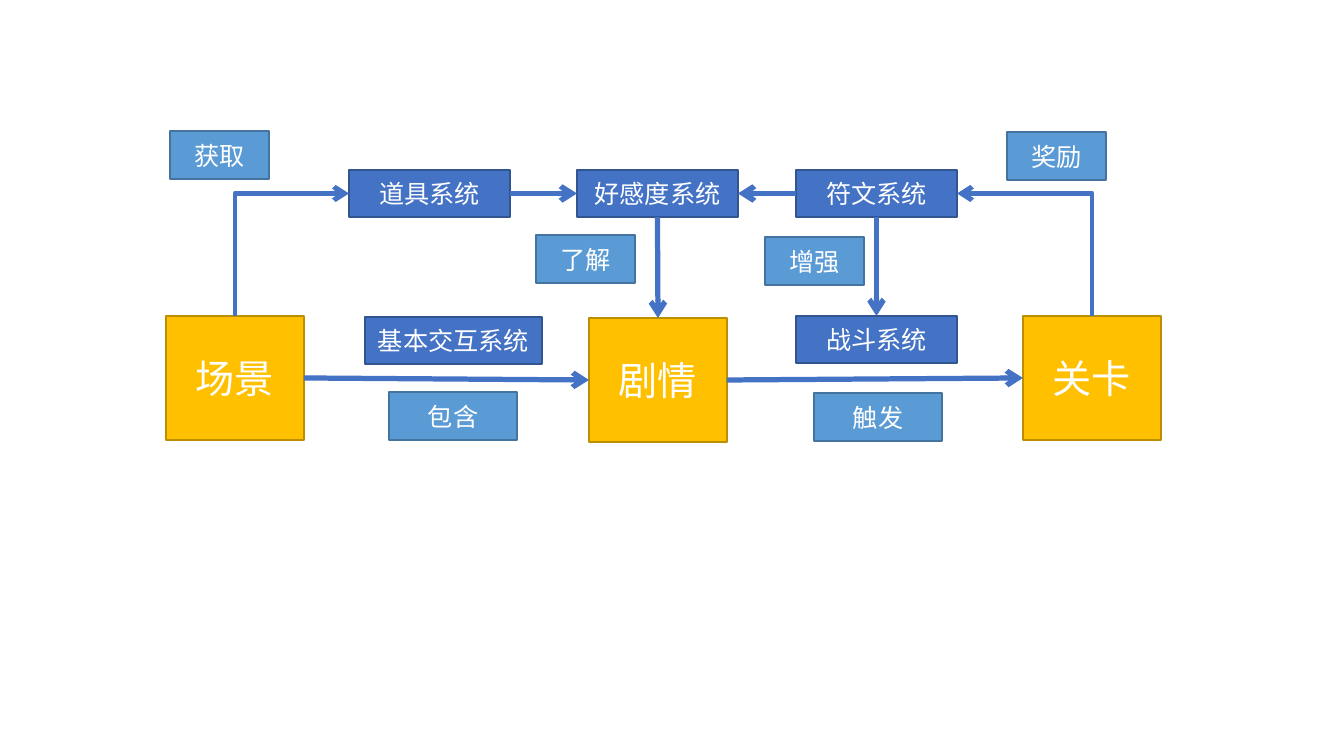
from lxml import etree
from pptx import Presentation
from pptx.dml.color import RGBColor
from pptx.enum.shapes import MSO_CONNECTOR, MSO_SHAPE
from pptx.enum.text import MSO_ANCHOR, PP_ALIGN
from pptx.oxml.ns import qn
from pptx.util import Emu, Pt

RECT = MSO_SHAPE.RECTANGLE
STRAIGHT = MSO_CONNECTOR.STRAIGHT
CENTER = PP_ALIGN.CENTER
MIDDLE = MSO_ANCHOR.MIDDLE
TOP, LEFT, BOTTOM, RIGHT = range(4)  # connection sites of a rectangle

FONT = "Noto Sans CJK SC"
BLUE = "4472C4"
# fill, outline, text size
SYSTEM = (BLUE, "325491", 18)
STAGE = ("FFC000", "BD8E00", 28)
LABEL = ("5B9BD5", "43739E", 18)

# text, style, left, top, width, height
BOXES = [
    ("道具系统", SYSTEM, 349, 170, 161, 47),
    ("好感度系统", SYSTEM, 577, 170, 161, 47),
    ("符文系统", SYSTEM, 796, 170, 161, 47),
    ("基本交互系统", SYSTEM, 365, 317, 177, 47),
    ("战斗系统", SYSTEM, 796, 316, 161, 47),
    ("场景", STAGE, 166, 316, 138, 124),
    ("剧情", STAGE, 589, 318, 138, 124),
    ("关卡", STAGE, 1023, 316, 138, 124),
    ("获取", LABEL, 170, 131, 99, 48),
    ("奖励", LABEL, 1007, 132, 99, 48),
    ("了解", LABEL, 536, 235, 99, 48),
    ("增强", LABEL, 765, 237, 99, 48),
    ("包含", LABEL, 389, 392, 128, 48),
    ("触发", LABEL, 814, 393, 128, 48),
]

# from, its site, to, its site
LINKS = [
    ("道具系统", RIGHT, "好感度系统", LEFT),
    ("符文系统", LEFT, "好感度系统", RIGHT),
    ("好感度系统", BOTTOM, "剧情", TOP),
    ("符文系统", BOTTOM, "战斗系统", TOP),
    ("场景", RIGHT, "剧情", LEFT),
    ("剧情", RIGHT, "关卡", LEFT),
]
BENDS = [
    ("场景", TOP, "道具系统", LEFT),
    ("关卡", TOP, "符文系统", RIGHT),
]


def px(count):
    return Emu(round(count * 914400 / 100.8))


def color(code):
    return RGBColor.from_string(code)


def add_box(slide, text, style, *place):
    fill, edge, size = style
    box = slide.shapes.add_shape(RECT, *map(px, place))
    box.shadow.inherit = False
    box.fill.solid()
    box.fill.fore_color.rgb = color(fill)
    box.line.color.rgb = color(edge)
    box.line.width = Pt(1)
    frame = box.text_frame
    frame.word_wrap = True
    frame.vertical_anchor = MIDDLE
    para = frame.paragraphs[0]
    para.text = text
    para.alignment = CENTER
    font = para.font
    font.size = Pt(size)
    font.color.rgb = color("FFFFFF")
    font.name = FONT
    etree.SubElement(font._rPr, qn("a:ea"), typeface=FONT)
    return box


def add_link(slide, start, site, end, goal, width=3.75):
    """Join two boxes with an arrow glued to their sides."""
    link = slide.shapes.add_connector(STRAIGHT, 0, 0, 0, 0)
    link.begin_connect(start, site)
    link.end_connect(end, goal)
    link.line.color.rgb = color(BLUE)
    link.line.width = Pt(width)
    etree.SubElement(link.line._get_or_add_ln(), qn("a:tailEnd"), type="arrow")
    etree.SubElement(link._element.spPr, qn("a:effectLst"))
    return link


def add_bend(slide, *ends):
    """Join two boxes with an arrow that goes up, then sideways."""
    link = add_link(slide, *ends, width=3.5)
    wide = link.end_x - link.begin_x
    tall = link.begin_y - link.end_y
    mid_x = (link.begin_x + link.end_x) // 2
    mid_y = (link.begin_y + link.end_y) // 2
    side = 1 if wide > 0 else -1
    # The preset goes sideways first, so its frame is turned a quarter.
    link.begin_x = mid_x + side * tall // 2
    link.end_x = mid_x - side * tall // 2
    link.begin_y = mid_y + abs(wide) // 2
    link.end_y = mid_y - abs(wide) // 2
    props = link._element.spPr
    props.find(qn("a:xfrm")).set("rot", str(side * 90 % 360 * 60000))
    props.find(qn("a:prstGeom")).set("prst", "bentConnector2")


def main():
    deck = Presentation()
    deck.slide_width, deck.slide_height = px(1344), px(756)
    slide = deck.slides.add_slide(deck.slide_layouts[6])
    boxes = {box[0]: add_box(slide, *box) for box in BOXES}
    for draw, links in ((add_link, LINKS), (add_bend, BENDS)):
        for start, site, end, goal in links:
            draw(slide, boxes[start], site, boxes[end], goal)
    deck.save("out.pptx")


if __name__ == "__main__":
    main()
